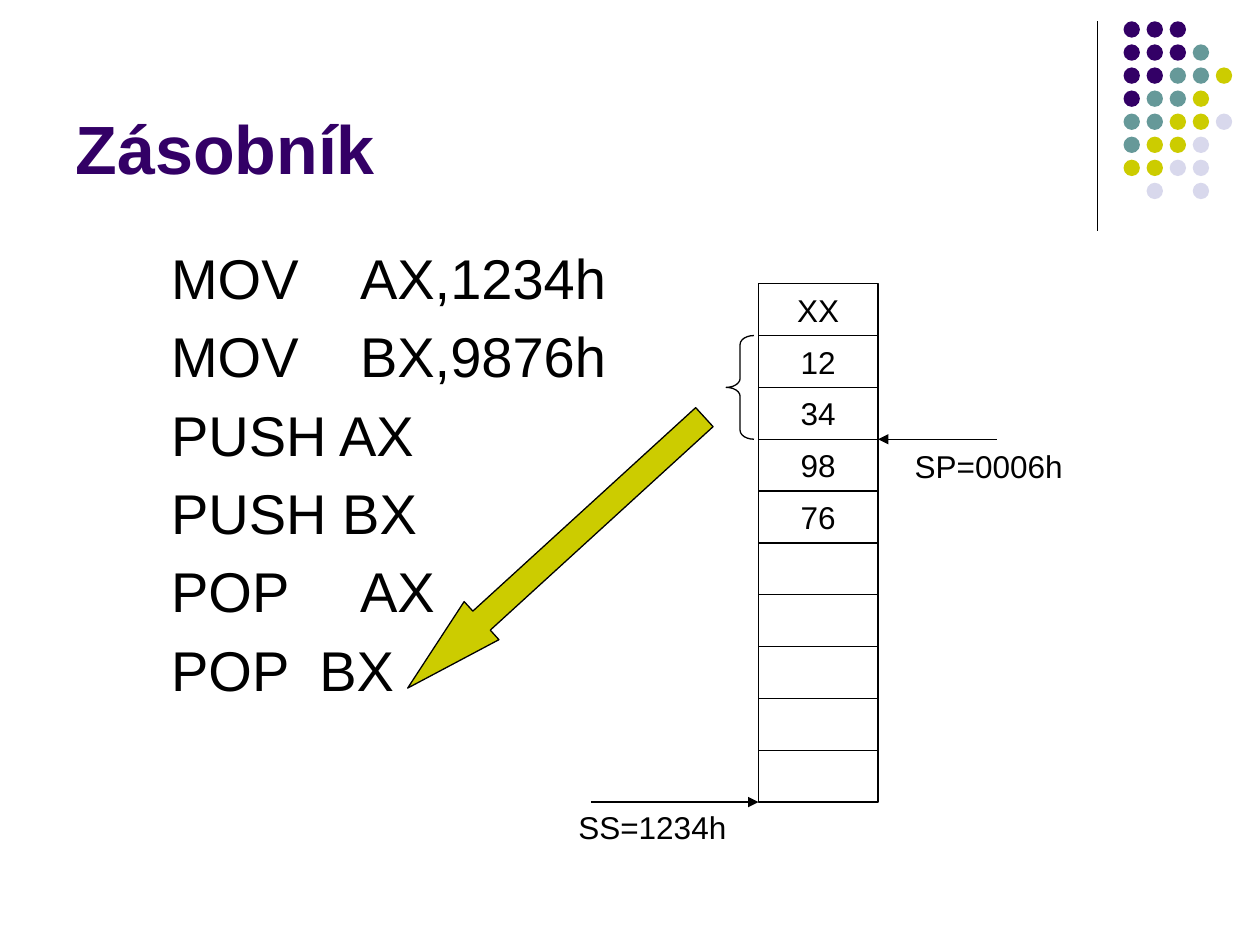
from lxml import etree
from pptx import Presentation
from pptx import util as u
from pptx.dml.color import RGBColor
from pptx.enum import shapes, text
from pptx.oxml.ns import qn

FONT = "Arial"
BLACK, PURPLE, TEAL, LIME, PALE = "000000", "330066", "669999", "CCCC00", "D8D8EC"
DOT_COLORS = {"P": PURPLE, "T": TEAL, "L": LIME, "V": PALE}
DOT_ROWS = ["PPP", "PPPT", "PPTTL", "PTTL", "TTLLV", "TLLV", "LLVV", " V V"]
CODE = ["MOV\tAX,1234h", "MOV\tBX,9876h", "PUSH AX", "PUSH BX", "POP \tAX", "POP  BX"]
STACK = ["XX", "12", "34", "98", "76", "", "", "", "", ""]


def rgb(value):
    return RGBColor.from_string(value)


def write(p, content, size, color=BLACK, bold=False, align=text.PP_ALIGN.LEFT):
    p.alignment = align
    r = p.add_run()
    r.text = content
    r.font.name, r.font.size, r.font.bold = FONT, u.Pt(size), bold
    r.font.color.rgb = rgb(color)


def add_shape(slide, kind, x, y, w, h, fill=None, line=BLACK):
    sp = slide.shapes.add_shape(kind, u.Cm(x), u.Cm(y), u.Cm(w), u.Cm(h))
    sp.shadow.inherit = False
    if fill:
        sp.fill.solid()
        sp.fill.fore_color.rgb = rgb(fill)
    else:
        sp.fill.background()
    if line:
        sp.line.color.rgb = rgb(line)
        sp.line.width = u.Pt(0.75)
    else:
        sp.line.fill.background()
    return sp


def add_line(slide, x1, y1, x2, y2, arrow=False):
    c = slide.shapes.add_connector(shapes.MSO_CONNECTOR.STRAIGHT,
                                   u.Cm(x1), u.Cm(y1), u.Cm(x2), u.Cm(y2))
    c.line.color.rgb = rgb(BLACK)
    c.line.width = u.Pt(0.75)
    if arrow:
        etree.SubElement(c.line._get_or_add_ln(), qn("a:tailEnd"), type="triangle")
    etree.SubElement(c._element.spPr, qn("a:effectLst"))


def add_text_box(slide, x, y, w, h):
    tf = slide.shapes.add_textbox(u.Cm(x), u.Cm(y), u.Cm(w), u.Cm(h)).text_frame
    tf.word_wrap = True
    return tf


def place_title(slide, content, x, y, w, h):
    sp = slide.shapes.title
    sp.left, sp.top, sp.width, sp.height = u.Cm(x), u.Cm(y), u.Cm(w), u.Cm(h)
    tf = sp.text_frame
    tf.auto_size = text.MSO_AUTO_SIZE.NONE
    tf.vertical_anchor = text.MSO_ANCHOR.BOTTOM
    write(tf.paragraphs[0], content, 39, color=PURPLE, bold=True)


def draw_ornament(slide, x, y, height):
    """Vertical rule with a grid of coloured dots to its right."""
    pitch, size, gap = 0.465, 0.33, 0.53
    add_line(slide, x, y, x, y + height)
    for row, colors in enumerate(DOT_ROWS):
        for col, key in enumerate(colors):
            if key in DOT_COLORS:
                add_shape(slide, shapes.MSO_SHAPE.OVAL, x + gap + col * pitch,
                          y + row * pitch, size, size, fill=DOT_COLORS[key], line=None)


def draw_code(slide, x, y, w, h):
    """Program listing, one indented paragraph per instruction."""
    tf = add_text_box(slide, x, y, w, h)
    for i, instruction in enumerate(CODE):
        p = tf.paragraphs[0] if i == 0 else tf.add_paragraph()
        write(p, instruction, 32)
        pPr = p._p.get_or_add_pPr()
        pPr.set("marL", str(u.Cm(1.93)))
        pPr.set("indent", "0")
        before = etree.SubElement(pPr, qn("a:spcBef"))
        etree.SubElement(before, qn("a:spcPct"), val="20000")
        etree.SubElement(pPr, qn("a:buNone"))


def draw_stack(slide, x, y, w, h):
    """Memory cells with the brace and the two register pointers."""
    row_h = h / len(STACK)
    right, bottom, sp_y = x + w, y + h, y + 3 * row_h

    # Cells
    for i, value in enumerate(STACK):
        sp = add_shape(slide, shapes.MSO_SHAPE.RECTANGLE, x, y + i * row_h, w, row_h)
        if value:
            sp.text_frame.vertical_anchor = text.MSO_ANCHOR.MIDDLE
            write(sp.text_frame.paragraphs[0], value, 18, align=text.PP_ALIGN.CENTER)

    # Segment and stack pointers
    add_line(slide, x - 3.38, bottom, x, bottom, arrow=True)
    add_line(slide, right + 2.39, sp_y, right, sp_y, arrow=True)
    for label, left, top in (("SS=1234h", x - 3.88, bottom),
                             ("SP=0006h", right + 0.49, sp_y + 0.03)):
        tf = add_text_box(slide, left, top, 3.81, 1.02)
        write(tf.paragraphs[0], label, 18)

    # Brace around the word on top of the stack
    brace = add_shape(slide, shapes.MSO_SHAPE.LEFT_BRACE, x - 0.65, y + row_h, 0.56, 2 * row_h)
    brace.adjustments[0] = 0.32


def draw_pop_arrow(slide, x, y, w, h):
    sp = add_shape(slide, shapes.MSO_SHAPE.LEFT_ARROW, x, y, w, h, fill=LIME)
    sp.adjustments[0], sp.adjustments[1] = 0.5, 1.94
    sp.rotation = 317.6


def main():
    prs = Presentation()
    prs.slide_width, prs.slide_height = u.Cm(25.4), u.Cm(19.05)
    slide = prs.slides.add_slide(prs.slide_layouts[5])
    draw_ornament(slide, 22.12, 0.43, 4.22)
    place_title(slide, "Zásobník", 1.27, 0.33, 20.96, 3.6)
    draw_code(slide, 1.27, 4.78, 22.86, 12.24)
    draw_stack(slide, 15.29, 5.72, 2.41, 10.45)
    draw_pop_arrow(slide, 7.16, 10.62, 8.1, 1.04)
    prs.save("out.pptx")


if __name__ == "__main__":
    main()
